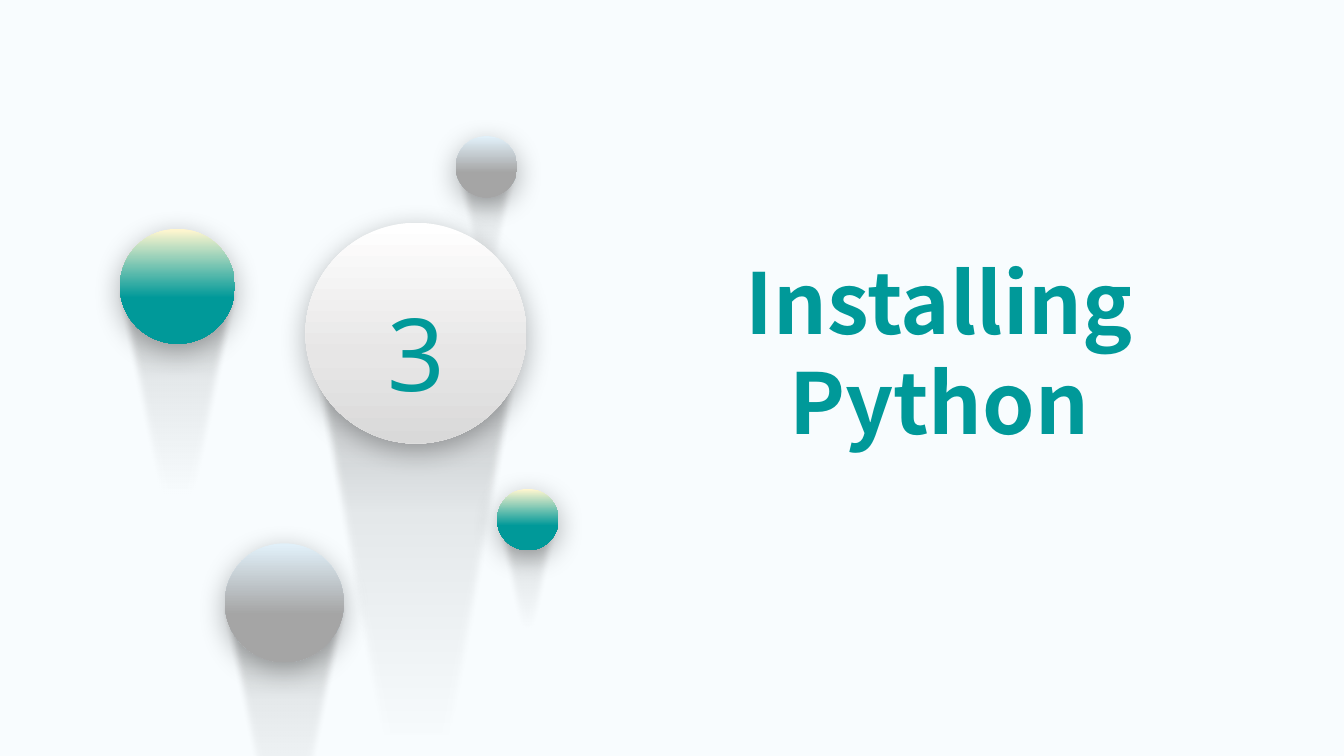
from dataclasses import dataclass

from lxml import etree
from pptx import Presentation
from pptx.dml.color import RGBColor
from pptx.enum import shapes, text
from pptx.oxml.ns import qn
from pptx.util import Inches, Pt


@dataclass(frozen=True)
class Theme:
    width: float = 13.33
    height: float = 7.5
    background: str = "F8FCFE"
    accent: str = "009999"
    number_font: str = "Noto Sans"
    title_font: str = "Noto Sans CJK SC"
    number_size: int = 72
    title_size: int = 60
    # Gradient stops: position, colour, opacity (all from top to bottom)
    white: tuple = ((0, "FFFFFF", 100), (60, "E7E6E6", 100), (100, "D9D9D9", 100))
    grey: tuple = ((1, "E1F0F9", 100), (60, "A5A5A5", 100), (100, "A5A5A5", 100))
    teal: tuple = ((1, "FFF6CF", 100), (60, "009999", 100), (100, "009999", 100))
    trail: tuple = ((0, "262626", 30), (30, "000000", 8),
                    (50, "000000", 4), (70, "000000", 0))


THEME = Theme()
TRAIL_LENGTH = 2.71  # in ball diameters
# Bezier points of the trail's two sides, as shares of its box
TRAIL_SIDES = (((0.83, 0.33), (0.54, 1.02), (0.5, 1)),
               ((0.46, 1.02), (0.17, 0.33), (0, 0)))


def add_color(parent, color, opacity):
    clr = etree.SubElement(parent, qn("a:srgbClr"), val=color)
    if opacity < 100:
        etree.SubElement(clr, qn("a:alpha"), val=str(opacity * 1000))


def paint(s, stops):
    """Vertical gradient, no outline, no inherited effects; returns the effect list."""
    s.fill.gradient()
    s.fill.gradient_angle = 270
    s.line.fill.background()
    s.shadow.inherit = False
    props = s._element.spPr
    stop_list = props.find(".//" + qn("a:gsLst"))
    for stop in list(stop_list):
        stop_list.remove(stop)
    for position, color, opacity in stops:
        stop = etree.SubElement(stop_list, qn("a:gs"), pos=str(position * 1000))
        add_color(stop, color, opacity)
    return props.find(qn("a:effectLst"))


def curve_sides(s, sides):
    """Turn the straight sides of a freeform into Bezier curves."""
    outline = s._element.spPr.find(".//" + qn("a:path"))
    w, h = int(outline.get("w")), int(outline.get("h"))
    for line, side in zip(outline.findall(qn("a:lnTo")), sides):
        curve = etree.Element(qn("a:cubicBezTo"))
        for x, y in side:
            etree.SubElement(curve, qn("a:pt"), x=str(round(x * w)), y=str(round(y * h)))
        outline.replace(line, curve)


def add_trail(group, cx, top, width, length):
    """Tapering shade that hangs from the middle of a ball."""
    left, right = Inches(cx - width / 2), Inches(cx + width / 2)
    builder = group.shapes.build_freeform(right, Inches(top))
    builder.add_line_segments([(Inches(cx), Inches(top + length)),
                               (left, Inches(top))], close=True)
    s = builder.convert_to_shape()
    curve_sides(s, TRAIL_SIDES)
    effects = paint(s, THEME.trail)
    etree.SubElement(effects, qn("a:softEdge"), rad=str(Pt(5)))


def add_ball(slide, left, top, size, stops, spread=1.11, number=None):
    """Shaded ball with its trail, in a square box."""
    group = slide.shapes.add_group_shape()
    add_trail(group, left + size / 2, top + size / 2,
              size * spread, size * TRAIL_LENGTH)
    s = group.shapes.add_shape(shapes.MSO_SHAPE.OVAL, Inches(left), Inches(top),
                               Inches(size), Inches(size))
    shadow = etree.SubElement(paint(s, stops), qn("a:outerShdw"),
                              blurRad=str(Pt(20)), dist=str(Pt(5)),
                              dir="5400000", algn="t", rotWithShape="0")
    add_color(shadow, "000000", 30)
    if number:
        s.text_frame.vertical_anchor = text.MSO_ANCHOR.MIDDLE
        p = s.text_frame.paragraphs[0]
        p.line_spacing = 1.3
        set_text(p, number, THEME.number_font, THEME.number_size)


def set_text(p, words, font, size, bold=False):
    p.text = words
    p.alignment = text.PP_ALIGN.CENTER
    p.font.name, p.font.size, p.font.bold = font, Pt(size), bold
    p.font.color.rgb = RGBColor.from_string(THEME.accent)


def add_title(slide, left, top, width, height, lines):
    box = slide.shapes.add_textbox(*map(Inches, (left, top, width, height)))
    tf = box.text_frame
    tf.word_wrap = False
    tf.auto_size = text.MSO_AUTO_SIZE.SHAPE_TO_FIT_TEXT
    tf.vertical_anchor = text.MSO_ANCHOR.BOTTOM
    for i, line in enumerate(lines):
        p = tf.add_paragraph() if i else tf.paragraphs[0]
        set_text(p, line, THEME.title_font, THEME.title_size, bold=True)


def add_section_slide(prs, number, lines):
    slide = prs.slides.add_slide(prs.slide_layouts[6])
    fill = slide.background.fill
    fill.solid()
    fill.fore_color.rgb = RGBColor.from_string(THEME.background)

    # Balls, from back to front
    add_ball(slide, 4.52, 1.35, 0.61, THEME.grey)
    add_ball(slide, 3.03, 2.21, 2.19, THEME.white, spread=1.01, number=number)
    add_ball(slide, 2.23, 5.39, 1.18, THEME.grey)
    add_ball(slide, 4.93, 4.85, 0.61, THEME.teal)
    add_ball(slide, 1.19, 2.27, 1.14, THEME.teal)

    # Section title
    add_title(slide, 7.25, 2.41, 4.13, 2.12, lines)


def main():
    prs = Presentation()
    prs.slide_width, prs.slide_height = Inches(THEME.width), Inches(THEME.height)
    add_section_slide(prs, "3", ["Installing", "Python"])
    prs.save("out.pptx")


if __name__ == "__main__":
    main()
